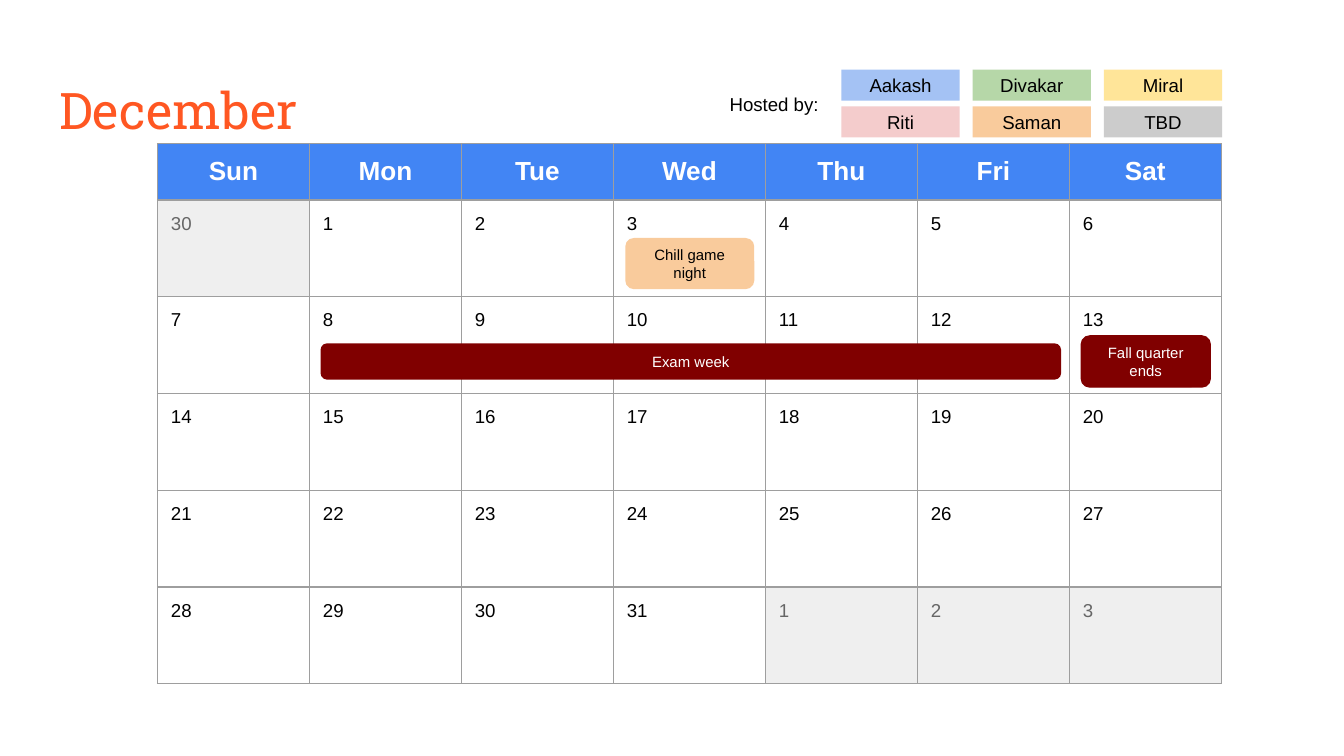
import pptx
import pptx.util
import pptx.dml.color
import pptx.enum.shapes
import pptx.enum.text
import pptx.oxml
from lxml import etree

Pt = pptx.util.Pt
RGBColor = pptx.dml.color.RGBColor
SHAPE = pptx.enum.shapes.MSO_SHAPE
ALIGN = pptx.enum.text.PP_ALIGN
ANCHOR = pptx.enum.text.MSO_ANCHOR

BLACK = RGBColor(0x00, 0x00, 0x00)
WHITE = RGBColor(0xFF, 0xFF, 0xFF)
ORANGE = RGBColor(0xFF, 0x57, 0x22)
BLUE = RGBColor(0x42, 0x85, 0xF4)
GREY_TEXT = RGBColor(0x66, 0x66, 0x66)
GREY_FILL = RGBColor(0xEF, 0xEF, 0xEF)
GRID = RGBColor(0x9E, 0x9E, 0x9E)
MAROON = RGBColor(0x80, 0x00, 0x00)
PEACH = RGBColor(0xF9, 0xCB, 0x9C)
SKY = RGBColor(0xA4, 0xC2, 0xF4)
GREEN = RGBColor(0xB6, 0xD7, 0xA8)
YELLOW = RGBColor(0xFF, 0xE5, 0x99)
PINK = RGBColor(0xF4, 0xCC, 0xCC)
SILVER = RGBColor(0xCC, 0xCC, 0xCC)

# Content
MONTH = "December"
WEEKDAYS = ["Sun", "Mon", "Tue", "Wed", "Thu", "Fri", "Sat"]
DAYS = [30, *range(1, 32), 1, 2, 3]
OUTSIDE = {0, 32, 33, 34}  # positions in DAYS that belong to other months
HOSTS = [("Aakash", SKY), ("Divakar", GREEN), ("Miral", YELLOW),
         ("Riti", PINK), ("Saman", PEACH), ("TBD", SILVER)]
# text, week, weekday, drop in the cell, width, height, fill, font colour, outline
EVENTS = [
    ("Exam week", 1, 1, 25.4, 396, 18.7, MAROON, WHITE, MAROON),
    ("Fall quarter ends", 1, 6, 21, 69.1, 27.4, MAROON, WHITE, MAROON),
    ("Chill game night", 0, 3, 20.4, 69.1, 27.4, PEACH, BLACK, None),
]

# Layout, in points
LEFT, TOP, COL_W, HEAD_H, WEEK_H = 84.4, 77, 81.43, 24.5, 51.84
WEEKS_TOP = 107.1  # the heading row grows to fit its text
EVENT_INSET = 6.3
PAD = 7.2


def write(tf, text, size, color, align=ALIGN.LEFT, font="Arial", bold=False):
    p = tf.paragraphs[0]
    p.alignment = align
    r = p.add_run()
    r.text = text
    for name, value in {"name": font, "size": Pt(size), "bold": bold}.items():
        setattr(r.font, name, value)
    r.font.color.rgb = color


def format_frame(tf, anchor=ANCHOR.MIDDLE):
    frame = {"word_wrap": True, "auto_size": pptx.enum.text.MSO_AUTO_SIZE.NONE,
             "vertical_anchor": anchor}
    frame.update({f"margin_{side}": Pt(PAD)
                  for side in ("left", "right", "top", "bottom")})
    for name, value in frame.items():
        setattr(tf, name, value)


def add_label(s, kind, box, text, size, fill, color, outline=None):
    sp = s.shapes.add_shape(kind, *map(Pt, box))
    sp.shadow.inherit = False
    sp.fill.solid()
    sp.fill.fore_color.rgb = fill
    if outline is None:
        sp.line.fill.background()
    else:
        sp.line.color.rgb = outline
        sp.line.width = Pt(0.75)
    format_frame(sp.text_frame)
    write(sp.text_frame, text, size, color, ALIGN.CENTER)


def format_cell(cell, fill):
    for side in ("left", "right", "top", "bottom"):
        setattr(cell, f"margin_{side}", Pt(PAD))
    tcPr = cell._tc.get_or_add_tcPr()
    for tag in ("a:lnL", "a:lnR", "a:lnT", "a:lnB"):
        ln = etree.SubElement(tcPr, pptx.oxml.ns.qn(tag), w=str(Pt(0.75)))
        paint = etree.SubElement(ln, pptx.oxml.ns.qn("a:solidFill"))
        etree.SubElement(paint, pptx.oxml.ns.qn("a:srgbClr"), val=str(GRID))
    if fill is None:
        cell.fill.background()
    else:
        cell.fill.solid()
        cell.fill.fore_color.rgb = fill


def add_calendar(s):
    n_cols = len(WEEKDAYS)
    n_weeks = len(DAYS) // n_cols
    table = s.shapes.add_table(
        n_weeks + 1, n_cols, Pt(LEFT), Pt(TOP),
        Pt(COL_W * n_cols), Pt(HEAD_H + WEEK_H * n_weeks)).table
    table.first_row = table.horz_banding = False
    for col in table.columns:
        col.width = Pt(COL_W)
    for i, row in enumerate(table.rows):
        row.height = Pt(WEEK_H if i else HEAD_H)
    for c, name in enumerate(WEEKDAYS):
        cell = table.cell(0, c)
        format_cell(cell, BLUE)
        write(cell.text_frame, name, 14, WHITE, ALIGN.CENTER, bold=True)
    for i, day in enumerate(DAYS):
        week, c = divmod(i, n_cols)
        cell = table.cell(week + 1, c)
        format_cell(cell, GREY_FILL if i in OUTSIDE else None)
        write(cell.text_frame, str(day), 10, GREY_TEXT if i in OUTSIDE else BLACK)


def main():
    prs = pptx.Presentation()
    prs.slide_width, prs.slide_height = Pt(720), Pt(405)
    s = prs.slides.add_slide(prs.slide_layouts[5])

    # Month title
    title = s.shapes.title
    title.left, title.top, title.width, title.height = map(Pt, (24.5, 35.3, 671, 45.4))
    format_frame(title.text_frame, ANCHOR.TOP)
    write(title.text_frame, MONTH, 27, ORANGE, font="Roboto Slab")

    add_calendar(s)

    # Events, placed by week and weekday
    for text, week, day, drop, w, h, fill, color, outline in EVENTS:
        box = (LEFT + day * COL_W + EVENT_INSET, WEEKS_TOP + week * WEEK_H + drop, w, h)
        add_label(s, SHAPE.ROUNDED_RECTANGLE, box, text, 8, fill, color, outline)

    # Host legend
    for i, (name, fill) in enumerate(HOSTS):
        row, col = divmod(i, 3)
        box = (450.7 + col * 70.3, 37.4 + row * 19.6, 63.4, 16.6)
        add_label(s, SHAPE.RECTANGLE, box, name, 10, fill, BLACK)
    caption = s.shapes.add_textbox(*map(Pt, (383.8, 47.5, 64.8, 16.6)))
    format_frame(caption.text_frame)
    write(caption.text_frame, "Hosted by:", 10, BLACK)

    prs.save("out.pptx")


if __name__ == "__main__":
    main()
